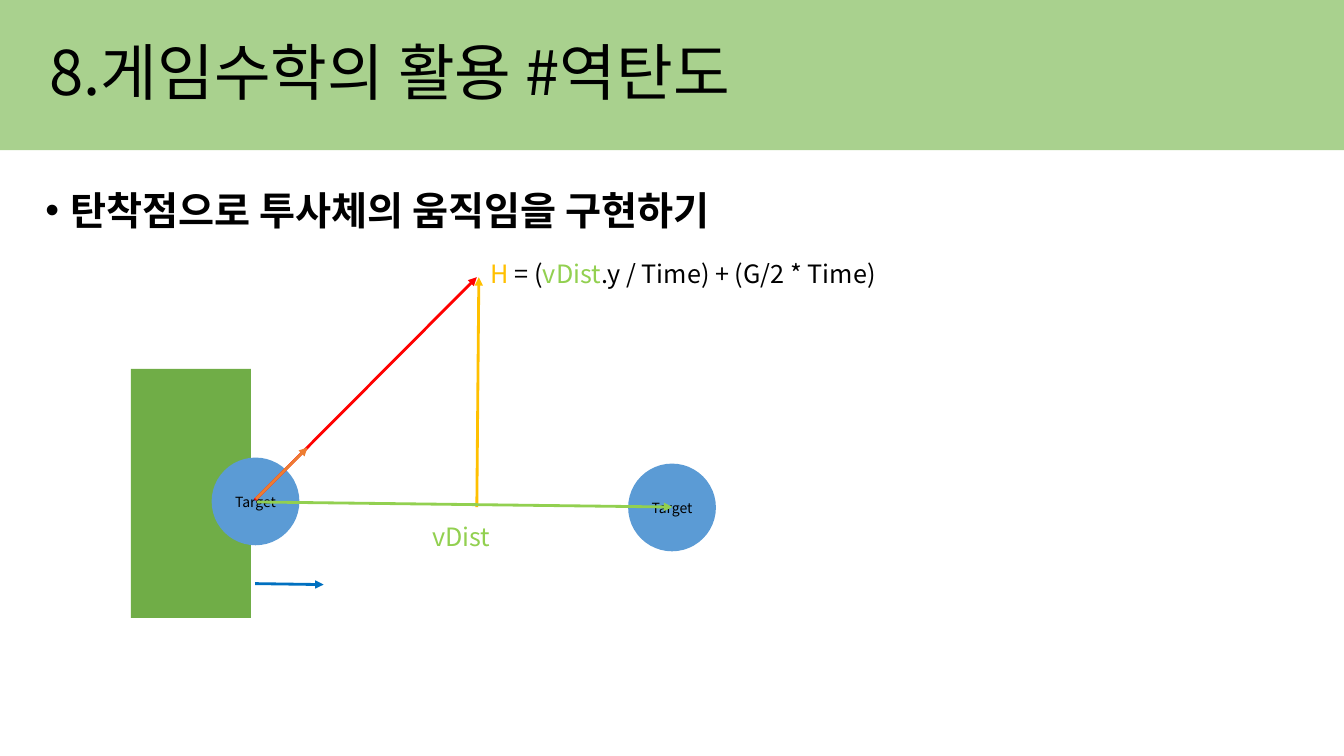
from dataclasses import dataclass

from pptx import Presentation
from pptx.dml.color import RGBColor
from pptx.enum.shapes import MSO_CONNECTOR, MSO_SHAPE
from pptx.enum.text import MSO_ANCHOR, MSO_AUTO_SIZE, PP_ALIGN
from pptx.oxml.ns import qn
from pptx.util import Inches, Pt
from lxml.etree import SubElement


@dataclass(frozen=True)
class Theme:
    font: str = "Noto Sans CJK KR"
    title_size: int = 44
    bullet_size: int = 28
    formula_size: int = 18
    target_size: int = 10
    line_width: int = 2
    ink: str = "000000"
    band: str = "A9D18E"
    wall: str = "70AD47"
    target: str = "5B9BD5"
    height: str = "FFC000"
    launch: str = "FF0000"
    direction: str = "ED7D31"
    distance: str = "92D050"
    forward: str = "0070C0"


class SlideBuilder:
    """Places elements by percentages of the slide's width and height."""

    def __init__(self, deck, theme):
        self.theme = theme
        self.width, self.height = deck.slide_width, deck.slide_height
        self.slide = deck.slides.add_slide(deck.slide_layouts[1])

    def point(self, x, y):
        return round(self.width * x / 100), round(self.height * y / 100)

    def box(self, left, top, width, height):
        return *self.point(left, top), *self.point(width, height)

    def format_run(self, run, size, color, bold=False):
        run.font.name = self.theme.font
        run.font.size = Pt(size)
        run.font.bold = bold
        run.font.color.rgb = RGBColor.from_string(color)
        SubElement(run.font._element, qn("a:ea")).set("typeface", self.theme.font)

    def placeholder(self, index, text, area, size, anchor, bold=False):
        holder = self.slide.placeholders[index]
        holder.left, holder.top, holder.width, holder.height = self.box(*area)
        frame = holder.text_frame
        frame.text = text
        frame.word_wrap = True
        frame.auto_size = MSO_AUTO_SIZE.NONE
        frame.vertical_anchor = anchor
        paragraph = frame.paragraphs[0]
        paragraph.alignment = PP_ALIGN.LEFT
        paragraph.line_spacing = 0.9
        paragraph.space_before = Pt(0)
        self.format_run(paragraph.runs[0], size, self.theme.ink, bold)
        return paragraph

    def title(self, text, area):
        self.placeholder(0, text, area, self.theme.title_size, MSO_ANCHOR.MIDDLE)

    def bullet(self, text, area):
        paragraph = self.placeholder(
            1, text, area, self.theme.bullet_size, MSO_ANCHOR.TOP, bold=True)
        properties = paragraph._p.get_or_add_pPr()
        properties.set("marL", str(Inches(0.25)))
        properties.set("indent", str(-Inches(0.25)))
        SubElement(properties, qn("a:buFont")).set("typeface", "Arial")
        SubElement(properties, qn("a:buChar")).set("char", "•")

    def shape(self, preset, area, color):
        shape = self.slide.shapes.add_shape(preset, *self.box(*area))
        shape.shadow.inherit = False
        shape.fill.solid()
        shape.fill.fore_color.rgb = RGBColor.from_string(color)
        shape.line.fill.background()
        return shape

    def band(self, area):
        band = self.shape(MSO_SHAPE.RECTANGLE, area, self.theme.band)
        self.slide.shapes._spTree.insert(2, band._element)  # behind the title

    def target(self, x, y, width=6.53, height=11.6):
        area = (x - width / 2, y - height / 2, width, height)
        circle = self.shape(MSO_SHAPE.OVAL, area, self.theme.target)
        frame = circle.text_frame
        frame.text = "Target"
        frame.word_wrap = False
        frame.vertical_anchor = MSO_ANCHOR.MIDDLE
        frame.paragraphs[0].alignment = PP_ALIGN.CENTER
        self.format_run(frame.paragraphs[0].runs[0], self.theme.target_size, self.theme.ink)

    def arrow(self, start, end, color):
        arrow = self.slide.shapes.add_connector(
            MSO_CONNECTOR.STRAIGHT, *self.point(*start), *self.point(*end))
        arrow.line.color.rgb = RGBColor.from_string(color)
        arrow.line.width = Pt(self.theme.line_width)
        SubElement(arrow.line._get_or_add_ln(), qn("a:tailEnd")).set("type", "triangle")
        SubElement(arrow._element.spPr, qn("a:effectLst"))

    def label(self, area, *parts):
        frame = self.slide.shapes.add_textbox(*self.box(*area)).text_frame
        frame.word_wrap = True
        for text, color in parts:
            run = frame.paragraphs[0].add_run()
            run.text = text
            self.format_run(run, self.theme.formula_size, color)


def main():
    deck = Presentation()
    deck.slide_width, deck.slide_height = Inches(13.33), Inches(7.5)
    theme = Theme()
    page = SlideBuilder(deck, theme)

    # Heading
    page.band((0, 0, 100, 19.87))
    page.title("8.게임수학의 활용 #역탄도", (2.93, 0.27, 96.45, 19.33))
    page.bullet("탄착점으로 투사체의 움직임을 구현하기", (2.63, 24.67, 94.65, 8.13))

    # Wall and the two targets
    page.shape(MSO_SHAPE.RECTANGLE, (9.75, 48.8, 8.93, 32.93), theme.wall)
    page.target(50, 67.13)
    page.target(19.01, 66.33)

    # Vectors
    page.arrow((35.48, 67.07), (35.63, 36.67), theme.height)
    page.arrow((18.98, 66.13), (35.48, 36.67), theme.launch)
    page.arrow((19.05, 66), (22.88, 59.2), theme.direction)
    page.arrow((19.13, 66.4), (50.03, 67.07), theme.distance)
    page.arrow((18.98, 77.2), (24.08, 77.33), theme.forward)

    # Formula and distance label
    page.label((35.78, 33.47, 50.55, 9.47),
               ("H", theme.height), (" = (", theme.ink),
               ("vDist", theme.distance), (".y / Time) + (G/2 * Time)", theme.ink))
    page.label((31.43, 68.27, 13.13, 5.33), ("vDist", theme.distance))

    deck.save("out.pptx")


if __name__ == "__main__":
    main()
